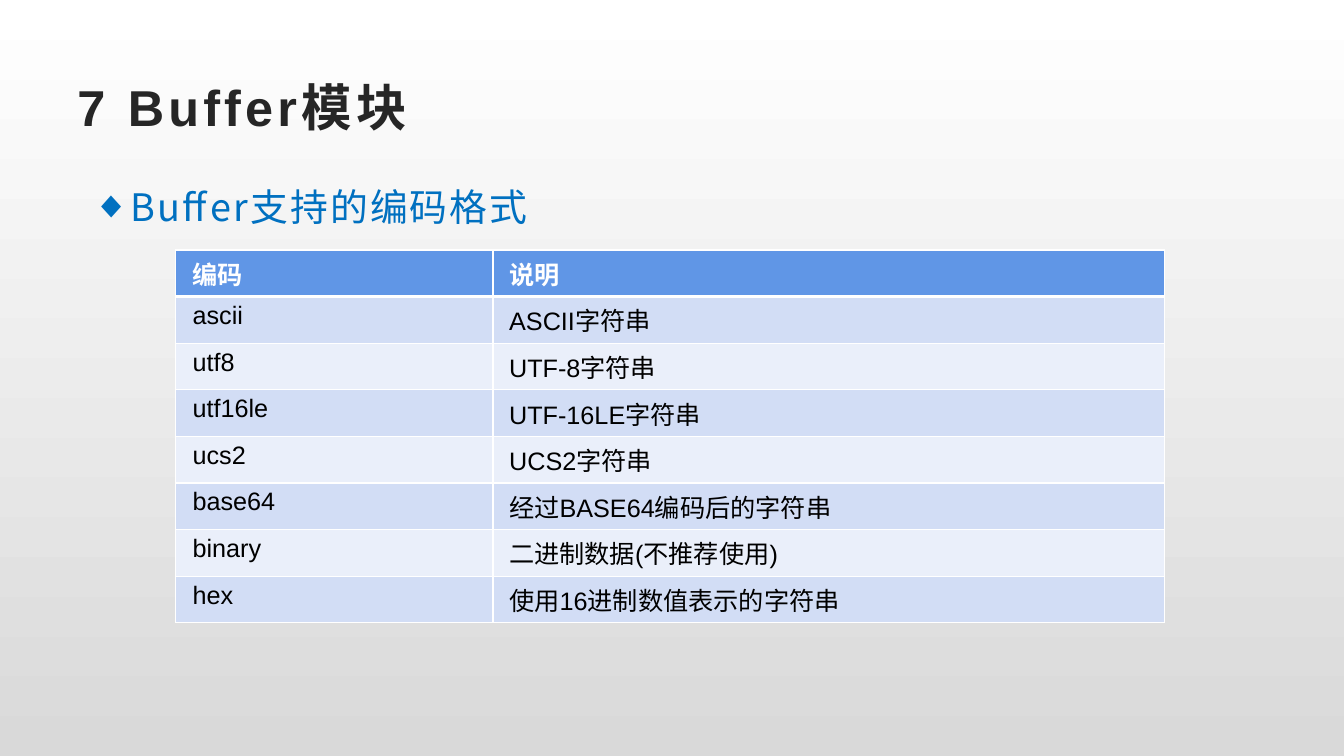
from lxml.etree import SubElement
from pptx import Presentation
from pptx.dml.color import RGBColor
from pptx.enum.text import MSO_ANCHOR
from pptx.oxml.ns import qn
from pptx.util import Inches, Pt

TITLE = "7 Buffer模块"
SUBTITLE = "Buffer支持的编码格式"
ENCODINGS = [
    ("编码", "说明"),
    ("ascii", "ASCII字符串"),
    ("utf8", "UTF-8字符串"),
    ("utf16le", "UTF-16LE字符串"),
    ("ucs2", "UCS2字符串"),
    ("base64", "经过BASE64编码后的字符串"),
    ("binary", "二进制数据(不推荐使用)"),
    ("hex", "使用16进制数值表示的字符串"),
]
COLUMN_WIDTHS = (3.15, 6.66)
CELL_INDENTS = (0.17, 0.16)
TABLE_HEIGHT = 3.7
ROW_HEIGHT = TABLE_HEIGHT / len(ENCODINGS)
COLORS = {
    "top": "FFFFFF", "bottom": "D9D9D9", "title": "262626", "subtitle": "0070C0",
    "header": "6096E6", "odd": "D2DDF5", "even": "EAEFFA",
    "white": "FFFFFF", "black": "000000",
}
CJK_FONT = "Noto Sans CJK SC"
TITLE_FORMAT = {"name": "Arial", "size": Pt(36), "bold": True}
SUBTITLE_FORMAT = {"name": CJK_FONT, "size": Pt(27), "bold": False}
HEADER_FORMAT = {"name": "Arial", "size": Pt(18), "bold": True}
BODY_FORMAT = {**HEADER_FORMAT, "bold": False}


def rgb(name):
    return RGBColor.from_string(COLORS[name])


def write(paragraph, text, formats, color, spacing=0):
    run = paragraph.add_run()
    run.text = text
    for name, value in formats.items():
        setattr(run.font, name, value)
    run.font.color.rgb = rgb(color)
    properties = run.font._element
    SubElement(properties, qn("a:ea"), typeface=CJK_FONT)
    if spacing:
        properties.set("spc", str(int(spacing * 100)))


def add_text(slide, box, anchor, *content):
    frame = slide.shapes.add_textbox(*map(Inches, box)).text_frame
    frame.word_wrap = True
    frame.vertical_anchor = anchor
    write(frame.paragraphs[0], *content)
    return frame.paragraphs[0]


def add_bullet(paragraph):
    paragraph.line_spacing = 1.5
    paragraph.space_after = Pt(10)
    properties = paragraph._p.get_or_add_pPr()
    properties.set("marL", str(Inches(0.25)))
    properties.set("indent", str(Inches(-0.25)))
    SubElement(properties, qn("a:buFont"), typeface="Arial")
    SubElement(properties, qn("a:buChar"), char="◆")


def add_borders(cell, widths):
    properties = cell._tc.get_or_add_tcPr()
    for side, width in widths.items():
        line = SubElement(properties, qn(f"a:ln{side}"), w=str(Pt(width)))
        fill = SubElement(line, qn("a:solidFill"))
        SubElement(fill, qn("a:srgbClr"), val=COLORS["white"])


def add_encoding_table(slide):
    table = slide.shapes.add_table(
        len(ENCODINGS), len(COLUMN_WIDTHS), Inches(1.74), Inches(2.48),
        Inches(sum(COLUMN_WIDTHS)), Inches(TABLE_HEIGHT),
    ).table
    for column, width in zip(table.columns, COLUMN_WIDTHS):
        column.width = Inches(width)
    for row_index, texts in enumerate(ENCODINGS):
        table.rows[row_index].height = Inches(ROW_HEIGHT)
        header = row_index == 0
        band = "header" if header else ("even", "odd")[row_index % 2]
        borders = {"L": 1, "R": 1, "T": 3 if row_index == 1 else 1, "B": 3 if header else 1}
        for column_index, text in enumerate(texts):
            cell = table.cell(row_index, column_index)
            cell.margin_left = Inches(CELL_INDENTS[column_index])
            add_borders(cell, borders)
            cell.fill.solid()
            cell.fill.fore_color.rgb = rgb(band)
            write(cell.text_frame.paragraphs[0], text,
                  HEADER_FORMAT if header else BODY_FORMAT,
                  "white" if header else "black")


def main():
    presentation = Presentation()
    presentation.slide_width = Inches(13.33)
    presentation.slide_height = Inches(7.5)
    slide = presentation.slides.add_slide(presentation.slide_layouts[6])
    background = slide.background.fill
    background.gradient()
    background.gradient_angle = 270
    for stop, position, color in zip(background.gradient_stops, (0, 1), ("top", "bottom")):
        stop.position = position
        stop.color.rgb = rgb(color)
    add_text(slide, (0.67, 0.67, 12, 0.77), MSO_ANCHOR.MIDDLE,
             TITLE, TITLE_FORMAT, "title", 3)
    subtitle = add_text(slide, (0.82, 1.55, 11.5, 5.88), MSO_ANCHOR.TOP,
                        SUBTITLE, SUBTITLE_FORMAT, "subtitle", 1.5)
    add_bullet(subtitle)
    add_encoding_table(slide)
    presentation.save("out.pptx")


if __name__ == "__main__":
    main()
